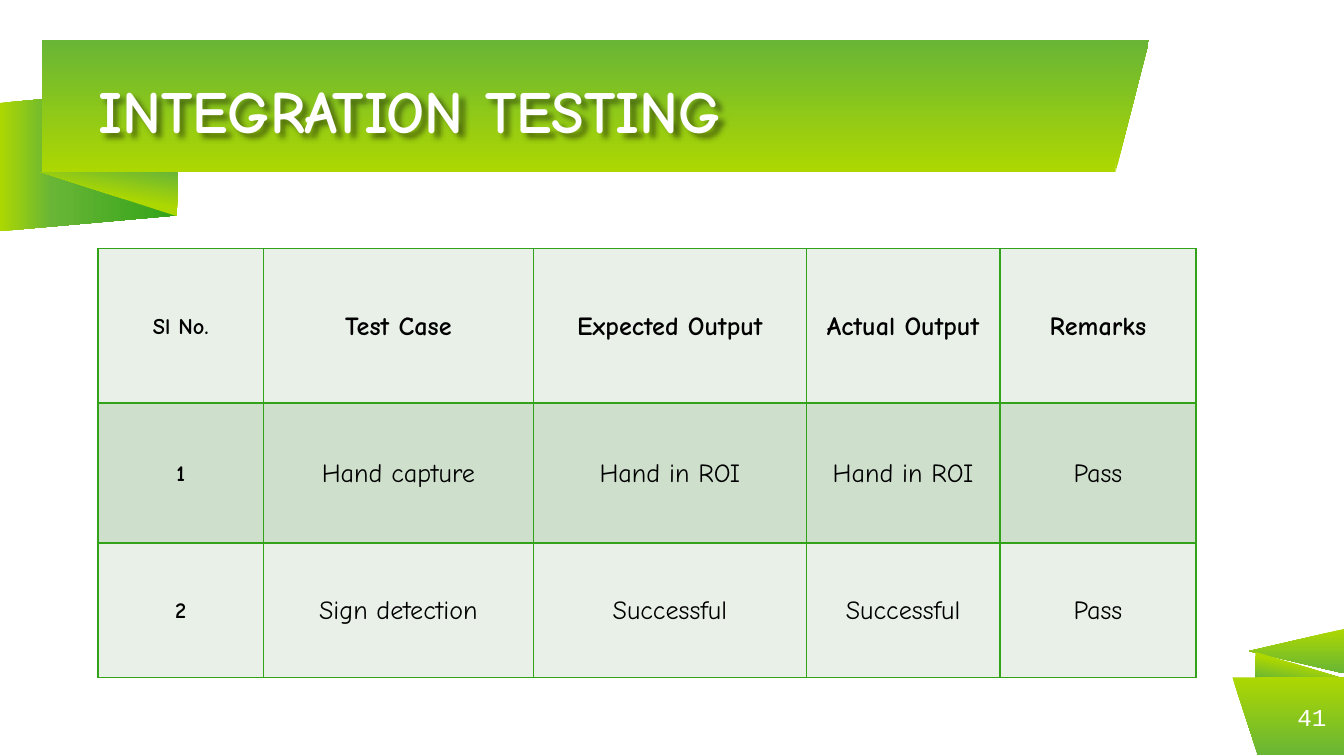
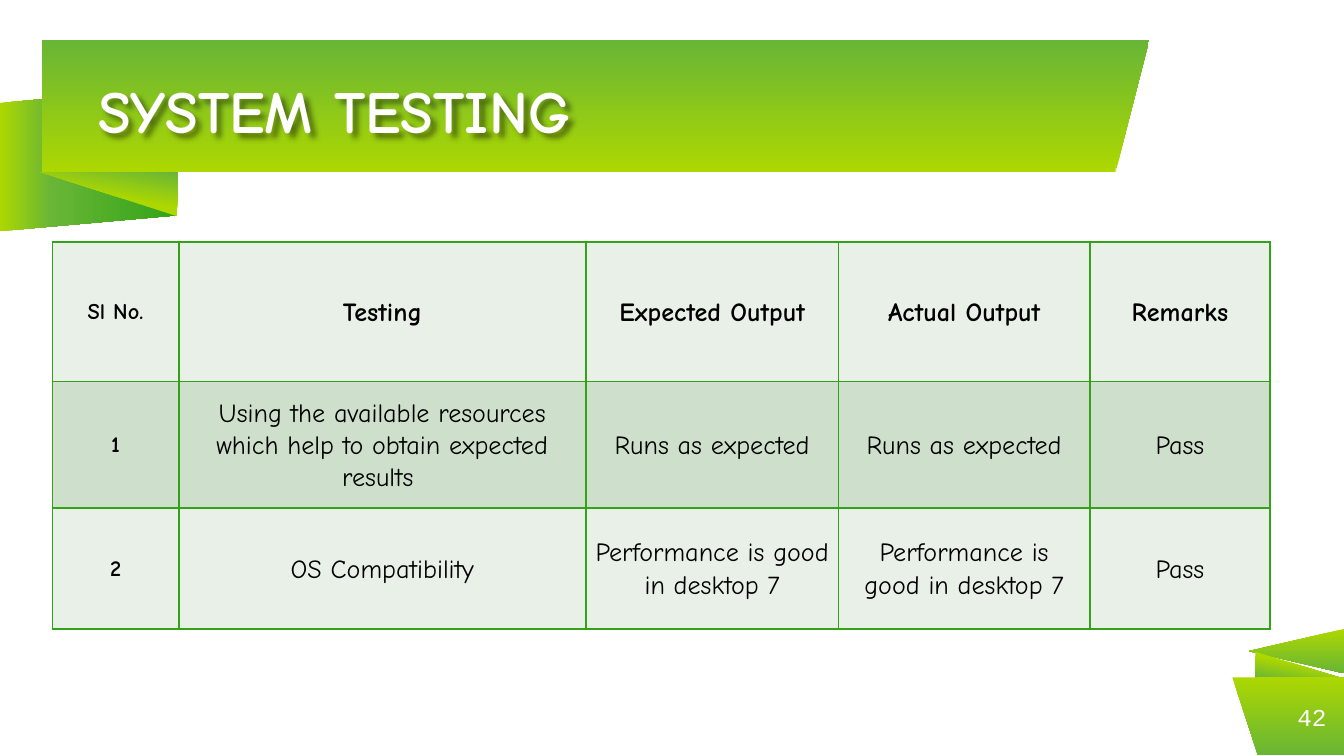
"""Build two testing slides with ribbon bands and result tables."""
from dataclasses import dataclass
from typing import Any, NamedTuple

from lxml import etree
from pptx import Presentation
from pptx.dml.color import RGBColor
from pptx.enum.shapes import MSO_SHAPE
from pptx.enum.text import MSO_ANCHOR, PP_ALIGN
from pptx.oxml.ns import qn
from pptx.slide import Slide
from pptx.util import Inches, Pt

RECT = MSO_SHAPE.RECTANGLE
TRI = MSO_SHAPE.ISOSCELES_TRIANGLE
RIGHT_TRI = MSO_SHAPE.RIGHT_TRIANGLE
SLANT = MSO_SHAPE.PARALLELOGRAM
MIDDLE = MSO_ANCHOR.MIDDLE
LEFT, CENTER, RIGHT = PP_ALIGN.LEFT, PP_ALIGN.CENTER, PP_ALIGN.RIGHT

Box = tuple[float, float, float, float]
Stops = tuple[tuple[int, str], ...]


@dataclass(frozen=True)
class Theme:
    """Colours, fonts and type sizes of the deck."""
    lime: str = "ACD701"
    leaf: str = "69B636"
    deep: str = "32A318"
    pale: str = "E8F0E8"
    mint: str = "CEE0CC"
    white: str = "FFFFFF"
    black: str = "000000"
    font: str = "Comic Neue"
    mono: str = "Courier New"
    title: int = 32
    body: int = 14
    small: int = 12
    page: int = 13


THEME = Theme()
PLAIN: Stops = ((0, THEME.lime), (100, THEME.leaf))
FOLD: Stops = ((0, THEME.lime), (47, THEME.lime), (100, THEME.leaf))
TAIL: Stops = ((0, THEME.lime), (29, THEME.leaf), (100, THEME.deep))


class Band(NamedTuple):
    """One folded piece of ribbon."""
    kind: Any
    box: Box
    stops: Stops
    angle: int
    turn: int = 0
    flip: bool = False
    adjust: float | None = None


class Page(NamedTuple):
    """Title and table of one slide."""
    title: str
    number: int
    spot: tuple[float, float]
    cols: tuple[float, ...]
    rows: tuple[float, ...]
    cells: tuple[tuple[str, ...], ...]


BANDS = (
    Band(SLANT, (0.12, 0.53, 1.07, 1.31), TAIL, 90, 270, True, 0.109),
    Band(RIGHT_TRI, (0.3, 1.28, 1.02, 0.33), FOLD, 100, 180),
    Band(RECT, (0.31, 0.3, 7.99, 0.98), PLAIN, 90, 180, True),
    Band(TRI, (8.3, 0.3, 0.25, 0.98), PLAIN, 90, 180, False, 1),
    Band(TRI, (9.48, 4.49, 0.33, 0.71), PLAIN, 180, 270, False, 0.5),
    Band(RIGHT_TRI, (9.34, 4.85, 0.66, 0.2), FOLD, 100),
    Band(RECT, (9.35, 5.04, 0.65, 0.58), PLAIN, 270, 180),
    Band(TRI, (9.17, 5.04, 0.19, 0.58), PLAIN, 270, 180, True, 1),
)

PAGES = (
    Page("INTEGRATION TESTING", 41, (0.73, 1.85),
         (1.23, 2.01, 2.03, 1.44, 1.46), (1.15, 1.04, 1),
         (("Sl No.", "Test Case", "Expected Output", "Actual Output", "Remarks"),
          ("1", "Hand capture", "Hand in ROI", "Hand in ROI", "Pass"),
          ("2", "Sign detection", "Successful", "Successful", "Pass"))),
    Page("SYSTEM TESTING", 42, (0.39, 1.8),
         (0.94, 3.03, 1.88, 1.87, 1.34), (1.04, 0.94, 0.9),
         (("Sl No.", "Testing", "Expected Output", "Actual Output", "Remarks"),
          ("1", "Using the available resources which help to obtain expected results ",
           "Runs as expected", "Runs as expected", "Pass"),
          ("2", "OS Compatibility", "Performance is good in desktop 7",
           "Performance is good in desktop 7", "Pass"))),
)


def apply(item: Any, values: dict[str, Any]) -> None:
    """Set each named value on the item."""
    for name, value in values.items():
        setattr(item, name, value)


def node(parent: Any, tag: str, **attrs: Any) -> Any:
    """Append a drawing element and return it."""
    return etree.SubElement(parent, qn(f"a:{tag}"), {k: str(v) for k, v in attrs.items()})


def write(frame: Any, text: str, size: int, color: str, bold: bool = False,
          font: str = THEME.font, para: dict[str, Any] | None = None) -> None:
    """Put one styled run in a text frame."""
    line = frame.paragraphs[0]
    apply(line, para or {})
    run = line.add_run()
    run.text = text
    apply(run.font, {"size": Pt(size), "bold": bold, "name": font})
    run.font.color.rgb = RGBColor.from_string(color)


def draw_band(slide: Slide, band: Band) -> None:
    """Draw a ribbon piece with its gradient."""
    shape = slide.shapes.add_shape(band.kind, *map(Inches, band.box))
    shape.shadow.inherit = False
    shape.rotation = band.turn
    shape.line.fill.background()
    if band.adjust is not None:
        shape.adjustments[0] = band.adjust
    props = shape._element.spPr
    if band.flip:
        props.find(qn("a:xfrm")).set("flipH", "1")
    grad = node(props, "gradFill", rotWithShape=1)
    stops = node(grad, "gsLst")
    for place, color in band.stops:
        node(node(stops, "gs", pos=place * 1000), "srgbClr", val=color)
    node(grad, "lin", ang=band.angle * 60000, scaled=0)
    props.find(qn("a:prstGeom")).addnext(grad)


def add_text(slide: Slide, box: Box, text: str, size: int, **style: Any) -> Any:
    """Add a white text box without insets and return it."""
    shape = slide.shapes.add_textbox(*map(Inches, box))
    frame = shape.text_frame
    apply(frame, {"word_wrap": True, "vertical_anchor": MIDDLE, "margin_left": 0,
                  "margin_right": 0, "margin_top": 0, "margin_bottom": 0})
    write(frame, text, size, THEME.white, **style)
    return shape


def add_shade(shape: Any) -> None:
    """Give the text of an unfilled box a soft shadow."""
    effect = node(shape._element.spPr, "effectLst")
    shade = node(effect, "outerShdw", blurRad=38100, dist=38100, dir=2700000, algn="tl")
    node(node(shade, "srgbClr", val=THEME.black), "alpha", val=43000)


def add_edges(cell: Any) -> None:
    """Draw the four borders of a cell."""
    props = cell._tc.get_or_add_tcPr()
    for side in ("lnL", "lnR", "lnT", "lnB"):
        edge = node(props, side, w=Pt(1))
        node(node(edge, "solidFill"), "srgbClr", val=THEME.deep)


def add_grid(slide: Slide, page: Page) -> None:
    """Add the table of test results."""
    size = (*page.spot, sum(page.cols), sum(page.rows))
    table = slide.shapes.add_table(len(page.rows), len(page.cols),
                                   *map(Inches, size)).table
    apply(table, {"first_row": False, "horz_banding": False})
    for col, width in zip(table.columns, page.cols):
        col.width = Inches(width)
    for row, height in zip(table.rows, page.rows):
        row.height = Inches(height)
    para = {"alignment": CENTER, "line_spacing": 1.07, "space_after": Pt(8)}
    for r, texts in enumerate(page.cells):
        for c, text in enumerate(texts):
            cell = table.cell(r, c)
            apply(cell, {"vertical_anchor": MIDDLE, "margin_left": Inches(0.07),
                         "margin_right": Inches(0.07), "margin_top": 0,
                         "margin_bottom": 0})
            add_edges(cell)
            cell.fill.solid()
            shade = THEME.mint if r % 2 else THEME.pale
            cell.fill.fore_color.rgb = RGBColor.from_string(shade)
            write(cell.text_frame, text, THEME.body if c else THEME.small,
                  THEME.black, bold=r == 0 or c == 0, para=para)


def add_page(deck: Any, page: Page) -> None:
    """Build one slide."""
    slide = deck.slides.add_slide(deck.slide_layouts[6])
    for band in BANDS:
        draw_band(slide, band)
    title = add_text(slide, (0.73, 0.36, 7.48, 0.98), page.title, THEME.title,
                     bold=True, para={"alignment": LEFT, "line_spacing": 0.9})
    add_shade(title)
    add_text(slide, (9.34, 5.04, 0.53, 0.58), str(page.number), THEME.page,
             font=THEME.mono, para={"alignment": RIGHT})
    add_grid(slide, page)


def main() -> None:
    """Build and save the deck."""
    deck = Presentation()
    wide = Inches(10)
    apply(deck, {"slide_width": wide, "slide_height": wide * 9 // 16})
    for page in PAGES:
        add_page(deck, page)
    deck.save("out.pptx")


if __name__ == "__main__":
    main()
